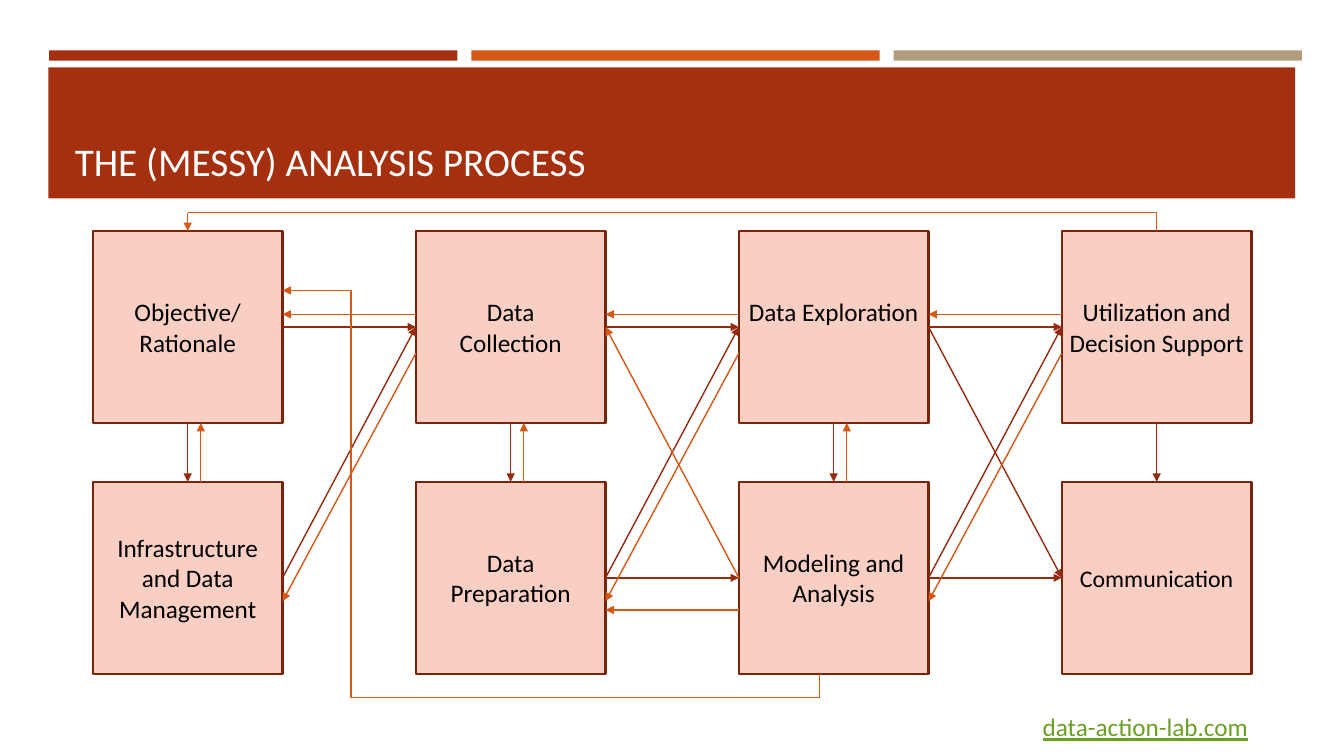
from lxml.etree import SubElement
from pptx import Presentation
from pptx.dml.color import RGBColor
from pptx.enum.shapes import MSO_CONNECTOR, MSO_SHAPE
from pptx.enum.text import MSO_ANCHOR, PP_ALIGN
from pptx.oxml.ns import qn
from pptx.util import Cm, Pt

COLORS = {
    "red": "A5300F", "orange": "D55816", "tan": "B19C7D", "pink": "F9CFC3",
    "edge": "7A240B", "ahead": "942B0E", "link": "6B9F25",
    "white": "FFFFFF", "black": "000000",
}
RGB = {name: RGBColor.from_string(value) for name, value in COLORS.items()}

deck = Presentation()
deck.slide_width, deck.slide_height = Cm(33.87), Cm(19.05)
slide = deck.slides.add_slide(deck.slide_layouts[5])
shapes = slide.shapes


def add_rect(x, y, w, h, fill):
    rect = shapes.add_shape(MSO_SHAPE.RECTANGLE, Cm(x), Cm(y), Cm(w), Cm(h))
    rect.shadow.inherit = False
    rect.fill.solid()
    rect.fill.fore_color.rgb = RGB[fill]
    rect.line.fill.background()
    return rect


def add_link(x1, y1, x2, y2, color, head=True, kind=MSO_CONNECTOR.STRAIGHT):
    link = shapes.add_connector(kind, Cm(x1), Cm(y1), Cm(x2), Cm(y2))
    link.line.color.rgb = RGB[color]
    link.line.width = Pt(1)
    props = link.element.spPr
    if head:
        SubElement(props.find(qn("a:ln")), qn("a:tailEnd"), type="triangle")
    SubElement(props, qn("a:effectLst"))
    return link


# Header
for i, color in enumerate(["red", "orange", "tan"]):
    add_rect(1.24 + 10.64 * i, 1.27, 10.29, 0.26, color)
band = add_rect(1.22, 1.7, 31.42, 3.3, "red")

title = shapes.title
band.element.addnext(title.element)
title.left, title.top, title.width, title.height = Cm(1.63), Cm(1.96), Cm(30.63), Cm(2.82)
title.text_frame.text = "THE (MESSY) ANALYSIS PROCESS"
title.text_frame.vertical_anchor = MSO_ANCHOR.BOTTOM
head = title.text_frame.paragraphs[0]
head.alignment = PP_ALIGN.LEFT
head.font.size, head.font.name = Pt(28), "Calibri"
head.font.color.rgb = RGB["white"]

# Steps: two rows of four boxes
LEFT, TOP, WIDE, HIGH, STEP, DROP = 2.34, 5.82, 4.78, 4.84, 8.14, 6.32
LOW = TOP + DROP
labels = [
    ["Objective/\nRationale", "Data\vCollection", "Data Exploration",
     "Utilization and Decision Support"],
    ["Infrastructure and Data Management", "Data\vPreparation",
     "Modeling and Analysis", "Communication"],
]
boxes = {}
for row, names in enumerate(labels):
    for col, name in enumerate(names):
        box = add_rect(LEFT + STEP * col, TOP + DROP * row, WIDE, HIGH, "pink")
        box.line.color.rgb = RGB["edge"]
        box.line.width = Pt(1.75)
        frame = box.text_frame
        frame.word_wrap = True
        frame.vertical_anchor = MSO_ANCHOR.MIDDLE
        frame.margin_left = frame.margin_right = Cm(0.15)
        frame.text = name
        for para in frame.paragraphs:
            para.alignment = PP_ALIGN.CENTER
            para.font.size = Pt(17 if name == "Communication" else 18)
            para.font.name = "Calibri"
            para.font.color.rgb = RGB["black"]
        boxes[row, col] = box
boxes[0, 2].text_frame.margin_bottom = Cm(0.9)

# Links between side centres: start box, side, end box, side
joins = [((0, c), 2, (1, c), 0, "ahead") for c in range(4)]
for c in range(3):
    joins.append(((0, c), 3, (0, c + 1), 1, "ahead"))
    joins.append(((1, c), 3, (0, c + 1), 1, "ahead"))
joins += [
    ((1, 1), 3, (1, 2), 1, "ahead"),
    ((1, 2), 3, (1, 3), 1, "ahead"),
    ((0, 2), 3, (1, 3), 1, "ahead"),
    ((1, 2), 1, (0, 1), 3, "orange"),
]
for start, out, end, into, color in joins:
    link = add_link(0, 0, 1, 1, color)
    link.begin_connect(boxes[start], out)
    link.end_connect(boxes[end], into)

# Steps back
for c in range(3):
    near = LEFT + WIDE + STEP * c
    far = LEFT + STEP * (c + 1)
    mid = LEFT + WIDE / 2 + STEP * c + 0.33
    add_link(far, 7.92, near, 7.92, "orange")
    add_link(far, 8.9, near, 15.15, "orange")
    add_link(mid, LOW, mid, TOP + HIGH, "orange")
add_link(LEFT + 2 * STEP, 15.37, LEFT + WIDE + STEP, 15.37, "orange")

# Loop from modeling to objective, under the boxes
add_link(20.65, LOW + HIGH, 20.65, 17.58, "orange", head=False)
bent = add_link(20.65, 17.58, LEFT + WIDE, 7.32, "orange", kind=MSO_CONNECTOR.ELBOW)
guides = bent.element.spPr.find(qn("a:prstGeom")).find(qn("a:avLst"))
SubElement(guides, qn("a:gd"), name="adj1", fmla="val 87200")

# Loop from utilization to objective, over the boxes
first = LEFT + WIDE / 2
last = first + 3 * STEP
rise = add_link(last, TOP, last, 5.36, "orange", head=False)
rise.begin_connect(boxes[0, 3], 0)
add_link(last, 5.36, first, 5.36, "orange", head=False)
fall = add_link(first, 5.36, first, TOP, "orange")
fall.end_connect(boxes[0, 0], 0)

# Web address
site = shapes.add_textbox(Cm(25.1), Cm(17.81), Cm(6.6), Cm(1.02))
site.text_frame.word_wrap = True
site.text_frame.text = "data-action-lab.com"
para = site.text_frame.paragraphs[0]
para.alignment = PP_ALIGN.RIGHT
para.font.size, para.font.name = Pt(18), "Calibri"
para.font.underline = True
para.font.color.rgb = RGB["link"]

deck.save("out.pptx")
